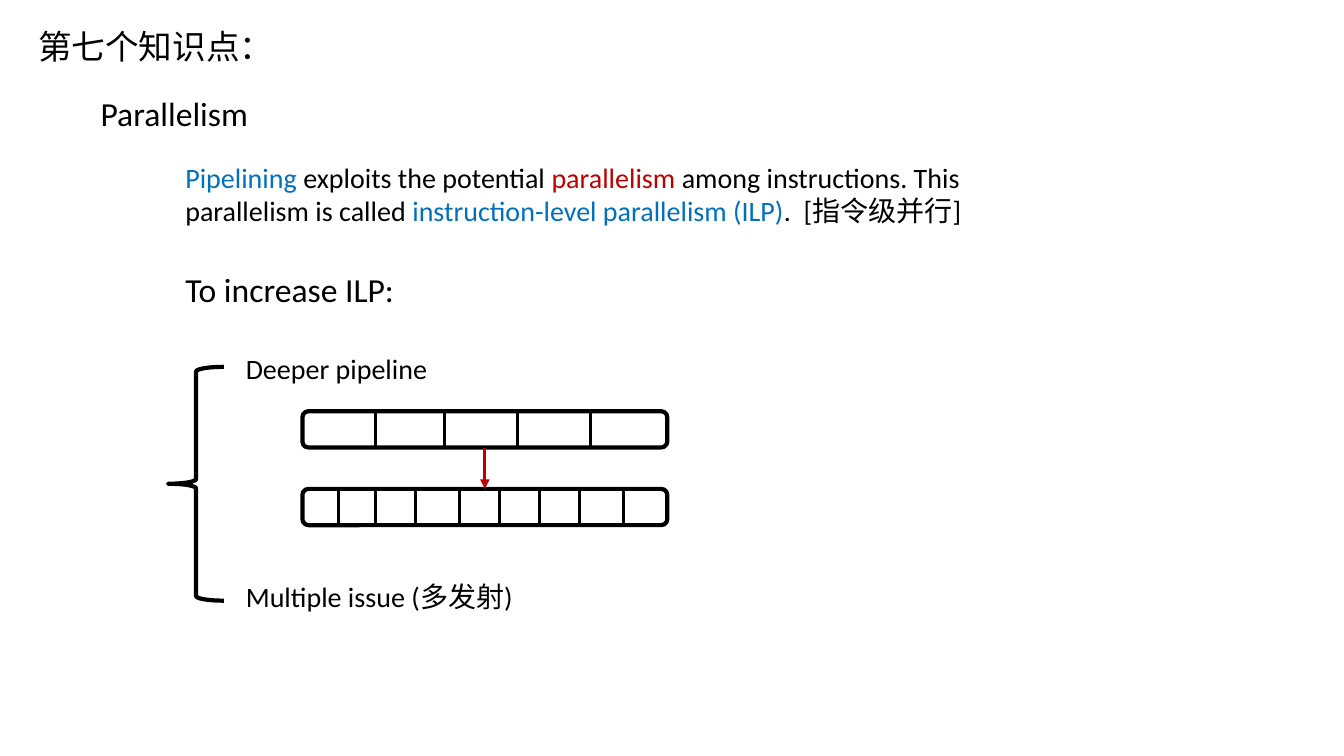
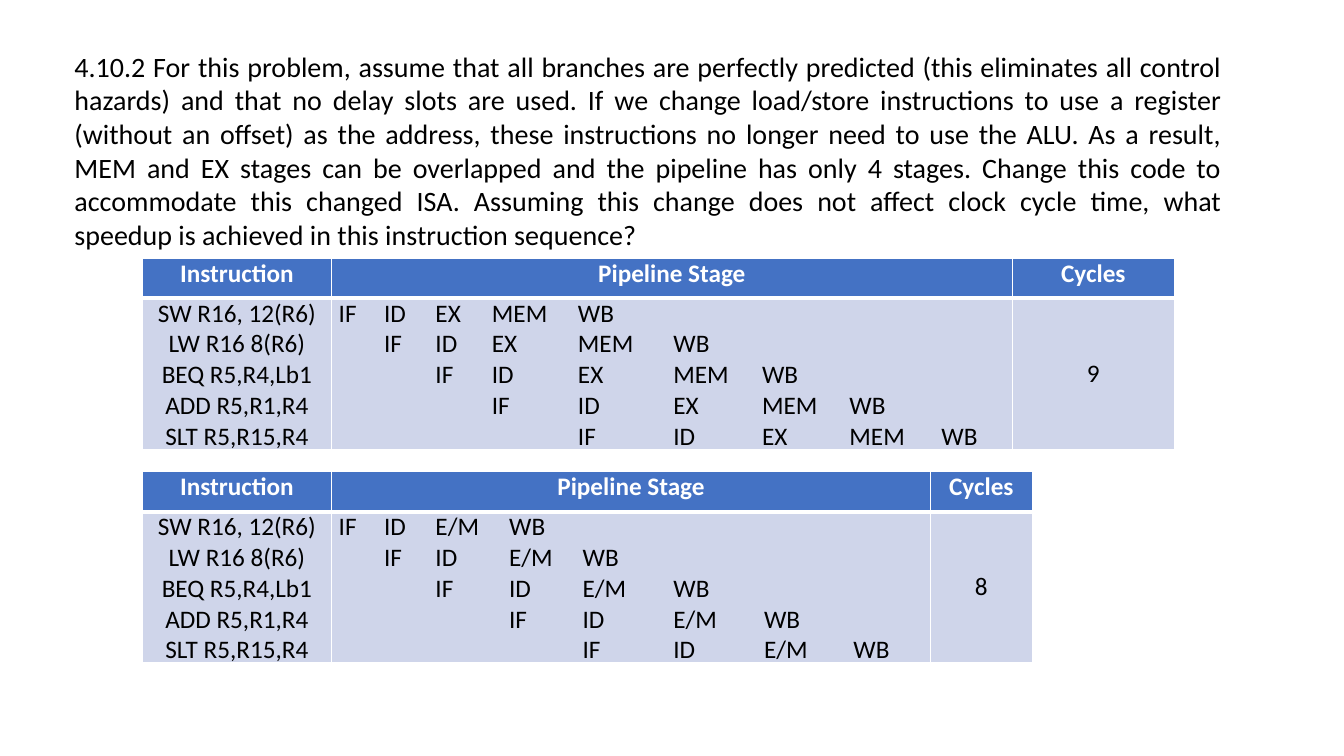
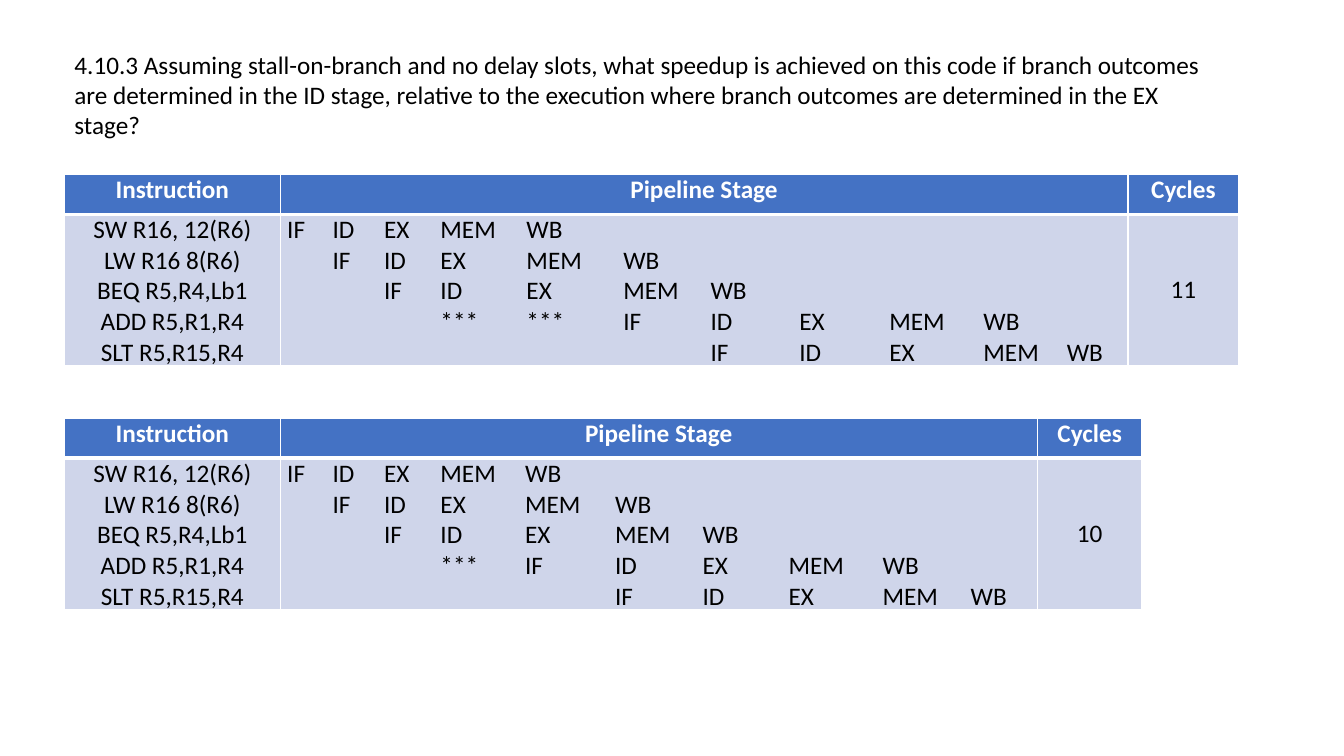
from pptx import Presentation
from pptx.dml.color import RGBColor
from pptx.enum.shapes import MSO_CONNECTOR, MSO_SHAPE
from pptx.enum.text import MSO_ANCHOR, MSO_AUTO_SIZE, PP_ALIGN
from pptx.oxml.ns import qn
from pptx.util import Inches, Pt
from lxml.etree import SubElement

W, H = Inches(13.33), Inches(7.5)
COLORS = {"ink": "000000", "white": "FFFFFF", "blue": "0070C0", "red": "C00000",
          "header": "4472C4", "body": "CFD5EA"}
LATIN, CJK = "Calibri", "Noto Sans CJK SC"
INSTRUCTIONS = ["SW R16, 12(R6)", "LW R16 8(R6)", "BEQ R5,R4,Lb1", "ADD R5,R1,R4", "SLT R5,R15,R4"]
FIVE_STAGES = ["IF", "ID", "EX", "MEM", "WB"]
FOUR_STAGES = ["IF", "ID", "E/M", "WB"]
ADD_ROW = 3


def cols(n):
    return round(W * n / 100)


def rows(n):
    return round(H * n / 100)


def box(x, y, w, h):
    return cols(x), rows(y), cols(w), rows(h)


def rgb(name):
    return RGBColor.from_string(COLORS[name])


def write(p, text, size=18, color="ink", bold=False, latin=LATIN, align=None):
    r = p.add_run()
    r.text = text
    r.font.size, r.font.bold, r.font.name = Pt(size), bold, latin
    r.font.color.rgb = rgb(color)
    SubElement(r.font._element, qn("a:ea"), typeface=CJK)
    if align is not None:
        p.alignment = align


def text_box(s, area, parts, wrap=True, **fmt):
    tf = s.shapes.add_textbox(*area).text_frame
    tf.word_wrap = wrap
    tf.auto_size = MSO_AUTO_SIZE.SHAPE_TO_FIT_TEXT
    for text, color in [(parts, "ink")] if isinstance(parts, str) else parts:
        write(tf.paragraphs[0], text, color=color, **fmt)


def outline(shapes, kind, area):
    sp = shapes.add_shape(kind, *area)
    sp.shadow.inherit = False
    sp.fill.background()
    sp.line.color.rgb = rgb("ink")
    sp.line.width = Pt(3)
    return sp


def line(shapes, x1, y1, x2, y2, color="ink", arrow=False):
    c = shapes.add_connector(MSO_CONNECTOR.STRAIGHT, x1, y1, x2, y2)
    c.line.color.rgb = rgb(color)
    c.line.width = Pt(2.25)
    sp_pr = c._element.spPr
    if arrow:
        SubElement(sp_pr.find(qn("a:ln")), qn("a:tailEnd"), type="triangle")
    SubElement(sp_pr, qn("a:effectLst"))
    return c


def pipeline_bar(s, area, dividers):
    x, y, w, h = area
    shapes = s.shapes.add_group_shape().shapes
    bar = outline(shapes, MSO_SHAPE.ROUNDED_RECTANGLE, area)
    for share in dividers:
        at = round(x + w * share)
        line(shapes, at, y, at, y + h)
    return bar


def style_cell(cell, fill, bottom=1):
    tc_pr = cell._tc.get_or_add_tcPr()
    for side, width in (("L", 1), ("R", 1), ("T", 1), ("B", bottom)):
        ln = SubElement(tc_pr, qn("a:ln" + side), w=str(Pt(width)))
        SubElement(SubElement(ln, qn("a:solidFill")), qn("a:srgbClr"), val=COLORS["white"])
    cell.fill.solid()
    cell.fill.fore_color.rgb = rgb(fill)
    cell.margin_left = cell.margin_right = Inches(0.07)
    cell.margin_top = cell.margin_bottom = 0


def fill_lines(cell, lines, **fmt):
    tf = cell.text_frame
    for i, text in enumerate(lines):
        write(tf.add_paragraph() if i else tf.paragraphs[0], text, **fmt)


def set_tabs(p, stops):
    tabs = SubElement(p._p.get_or_add_pPr(), qn("a:tabLst"))
    for stop in stops:
        SubElement(tabs, qn("a:tab"), pos=str(cols(stop)), algn="l")


def stage_lines(stages, stalls):
    lines = []
    for i in range(len(INSTRUCTIONS)):
        start = i + (stalls if i > ADD_ROW else 0)
        waiting = ["***"] * stalls if i == ADD_ROW else []
        lines.append("\t" * start + "\t".join(waiting + stages))
    return lines


def pipeline_table(s, x, y, widths, stops, stages=FIVE_STAGES, stalls=0):
    area = box(x, y, sum(widths), 25.2)
    table = s.shapes.add_table(2, 3, *area).table
    for col, width in zip(table.columns, widths):
        col.width = cols(width)
    table.rows[0].height = round(area[3] * 0.21)
    table.rows[1].height = area[3] - table.rows[0].height
    for i, title in enumerate(["Instruction", "Pipeline Stage", "Cycles"]):
        style_cell(table.cell(0, i), "header", bottom=3)
        style_cell(table.cell(1, i), "body")
        fill_lines(table.cell(0, i), [title], color="white", bold=True, align=PP_ALIGN.CENTER)
    names, chart, cycles = (table.cell(1, i) for i in range(3))
    fill_lines(names, INSTRUCTIONS, align=PP_ALIGN.CENTER)
    fill_lines(chart, stage_lines(stages, stalls), align=PP_ALIGN.LEFT)
    for p in chart.text_frame.paragraphs:
        set_tabs(p, stops)
    fill_lines(cycles, [str(len(stops) + 1)], align=PP_ALIGN.CENTER)
    cycles.vertical_anchor = MSO_ANCHOR.MIDDLE


def parallelism_slide(s):
    text_box(s, box(2.1, 2.8, 28.8, 6.67), "第七个知识点：", size=24, latin=CJK)
    text_box(s, box(6.75, 11.6, 12.6, 6.67), "Parallelism", wrap=False, size=24)
    text_box(s, box(13.05, 20.53, 64.5, 10.27), [
        ("Pipelining", "blue"), (" exploits the potential ", "ink"), ("parallelism", "red"),
        (" among instructions. This parallelism is called ", "ink"),
        ("instruction-level parallelism (ILP)", "blue"), (".  [指令级并行]", "ink")], size=20)
    text_box(s, box(13.05, 34.93, 24.15, 6.67), "To increase ILP:", size=24)
    text_box(s, box(17.55, 45.87, 15.15, 5.87), "Deeper pipeline", wrap=False, size=20)
    shallow = pipeline_bar(s, box(22.5, 54.4, 27.15, 4.8), [0.2, 0.39, 0.59, 0.79])
    deep = pipeline_bar(s, box(22.5, 64.67, 27.15, 4.8),
                        [0.1, 0.2, 0.31, 0.43, 0.54, 0.65, 0.76, 0.88])
    arrow = line(s.shapes, 0, 0, 0, 0, color="red", arrow=True)
    arrow.begin_connect(shallow, 2)
    arrow.end_connect(deep, 0)
    text_box(s, box(17.55, 76, 22.2, 5.87), "Multiple issue (多发射)", size=20)
    outline(s.shapes, MSO_SHAPE.LEFT_BRACE, box(12.53, 48.53, 4.13, 30.93))


def exercise_slide(s, question, height, tables, **fmt):
    text_box(s, box(4.8, 5.87, 86.85, height), question, **fmt)
    for table in tables:
        pipeline_table(s, **table)


def main():
    prs = Presentation()
    prs.slide_width, prs.slide_height = W, H
    first, second, third = (prs.slides.add_slide(prs.slide_layouts[6]) for _ in range(3))
    parallelism_slide(first)
    exercise_slide(
        second,
        "4.10.2 For this problem, assume that all branches are perfectly predicted (this eliminates "
        "all control hazards) and that no delay slots are used. If we change load/store instructions "
        "to use a register (without an offset) as the address, these instructions no longer need to "
        "use the ALU. As a result, MEM and EX stages can be overlapped and the pipeline has only 4 "
        "stages. Change this code to accommodate this changed ISA. Assuming this change does not "
        "affect clock cycle time, what speedup is achieved in this instruction sequence?",
        28.27,
        [dict(x=10.58, y=34.13, widths=[14.1, 50.63, 12.08],
              stops=[3.38, 7.2, 11.4, 17.8, 24.9, 31.5, 38, 44.85]),
         dict(x=10.58, y=62.4, widths=[14.1, 44.55, 7.58], stages=FOUR_STAGES,
              stops=[3.38, 7.2, 12.68, 18.15, 24.9, 31.65, 38.3])],
        size=20, align=PP_ALIGN.JUSTIFY)
    exercise_slide(
        third,
        "4.10.3 Assuming stall-on-branch and no delay slots, what speedup is achieved on this code "
        "if branch outcomes are determined in the ID stage, relative to the execution where branch "
        "outcomes are determined in the EX stage?",
        13.47,
        [dict(x=4.8, y=23.07, widths=[16.05, 63.08, 8.25], stalls=2,
              stops=[3.38, 7.2, 11.4, 17.8, 25, 31.5, 38.1, 44.8, 51.8, 58]),
         dict(x=4.8, y=55.33, widths=[16.05, 56.33, 7.8], stalls=1,
              stops=[3.38, 7.2, 11.4, 17.7, 24.4, 30.9, 37.3, 44.3, 50.85])])
    prs.save("out.pptx")


if __name__ == "__main__":
    main()
